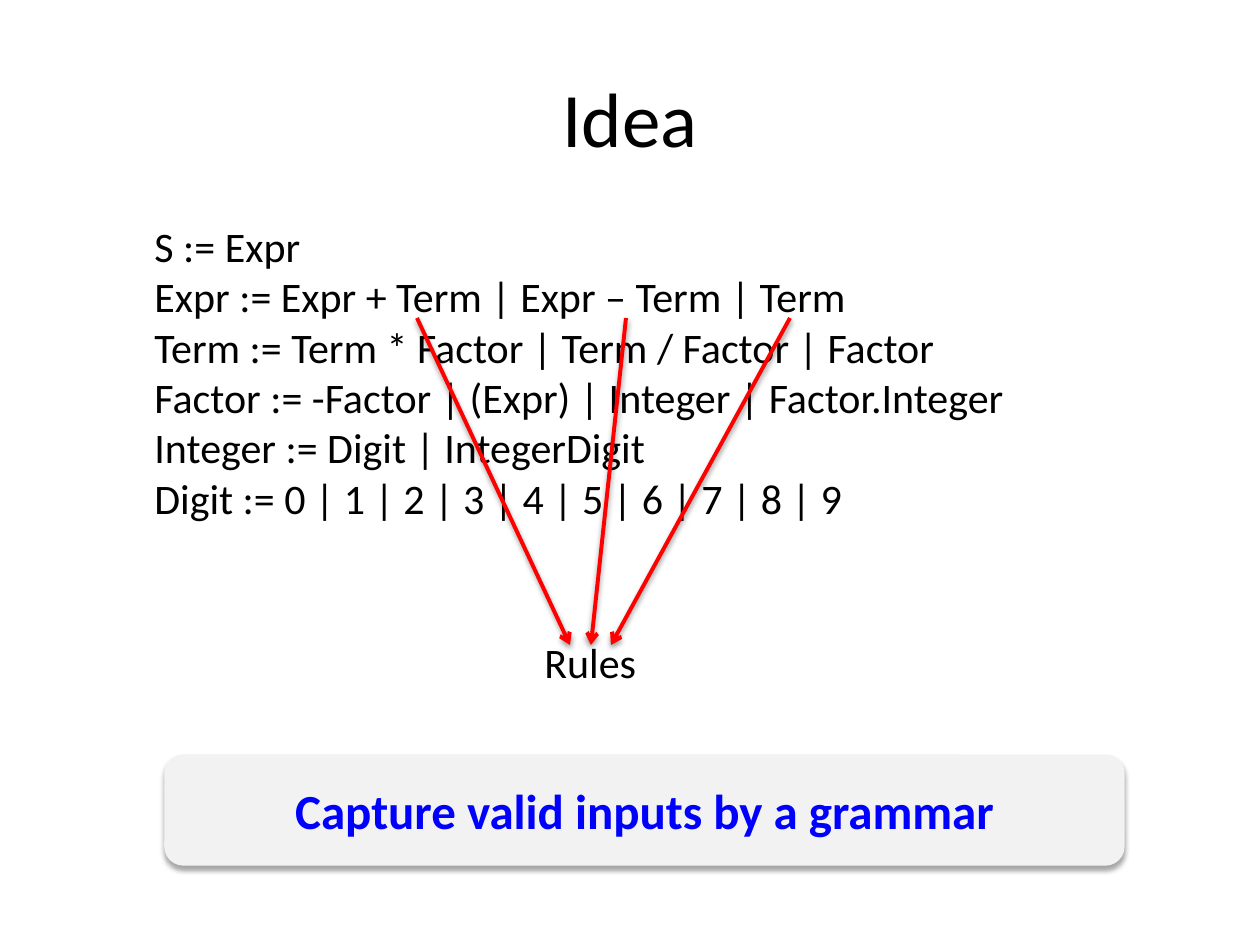
from dataclasses import dataclass

from lxml import etree
from pptx import Presentation
from pptx.dml.color import RGBColor
from pptx.enum.shapes import MSO_CONNECTOR, MSO_SHAPE
from pptx.enum.text import MSO_ANCHOR, PP_ALIGN
from pptx.oxml.ns import qn
from pptx.util import Emu, Pt

STRAIGHT = MSO_CONNECTOR.STRAIGHT
ROUNDED = MSO_SHAPE.ROUNDED_RECTANGLE
MIDDLE, TOP = MSO_ANCHOR.MIDDLE, MSO_ANCHOR.TOP
LEFT, CENTER = PP_ALIGN.LEFT, PP_ALIGN.CENTER
EMU_PER_PX = 914400 / 126


@dataclass(frozen=True)
class Theme:
    """Colours, font and type sizes of the slide."""
    font: str = "Calibri"
    ink: RGBColor = RGBColor(0, 0, 0)
    accent: RGBColor = RGBColor(0, 0, 255)
    arrow: RGBColor = RGBColor(255, 0, 0)
    panel: RGBColor = RGBColor(242, 242, 242)
    title_size: int = 44
    callout_size: int = 28
    body_size: int = 24


THEME = Theme()

GRAMMAR = [
    "S := Expr",
    "Expr := Expr + Term | Expr – Term | Term",
    "Term := Term * Factor | Term / Factor | Factor",
    "Factor := -Factor | (Expr) | Integer | Factor.Integer",
    "Integer := Digit | IntegerDigit",
    "Digit := 0 | 1 | 2 | 3 | 4 | 5 | 6 | 7 | 8 | 9",
]


def px(*lengths):
    """Turn pixel lengths into EMU."""
    return [Emu(round(length * EMU_PER_PX)) for length in lengths]


def write(shape, lines, size, color=THEME.ink, bold=False, align=LEFT, anchor=TOP, wrap=True):
    """Fill a shape with one paragraph per line in a single format."""
    frame = shape.text_frame
    frame.word_wrap = wrap
    frame.vertical_anchor = anchor
    font_format = {"name": THEME.font, "size": Pt(size), "bold": bold}
    for index, line in enumerate(lines):
        para = frame.add_paragraph() if index else frame.paragraphs[0]
        para.alignment = align
        span = para.add_run()
        span.text = line
        for name, value in font_format.items():
            setattr(span.font, name, value)
        span.font.color.rgb = color


def add_shadow(shape, distance, opacity):
    """Give a shape a soft shadow falling straight down."""
    properties = shape._element.spPr
    effects = etree.SubElement(properties, qn("a:effectLst"))
    shadow = etree.SubElement(effects, qn("a:outerShdw"), blurRad=str(Pt(3.1)),
                              dist=str(Pt(distance)), dir="5400000", rotWithShape="0")
    color = etree.SubElement(shadow, qn("a:srgbClr"), val="000000")
    etree.SubElement(color, qn("a:alpha"), val=str(opacity * 1000))


def add_text(page, box, lines, size, **text_format):
    """Place a text box."""
    write(page.shapes.add_textbox(*px(*box)), lines, size, **text_format)


def add_callout(page, box, text):
    """Place the shaded takeaway panel."""
    panel = page.shapes.add_shape(ROUNDED, *px(*box))
    panel.fill.solid()
    panel.fill.fore_color.rgb = THEME.panel
    panel.line.color.rgb = THEME.panel
    panel.line.width = Pt(0.75)
    add_shadow(panel, 1.8, 35)
    write(panel, [text], THEME.callout_size, color=THEME.accent, bold=True,
          align=CENTER, anchor=MIDDLE)


def add_rule_arrows(page, box):
    """Draw the arrows that lead from the alternatives to their label."""
    left, top, width, height = box
    for start, end in [(0, 153), (209, 174), (width, 194)]:
        arrow = page.shapes.add_connector(
            STRAIGHT, *px(left + start, top, left + end, top + height))
        arrow.line.color.rgb = THEME.arrow
        arrow.line.width = Pt(2.25)
        etree.SubElement(arrow.line._get_or_add_ln(), qn("a:tailEnd"), type="arrow")
        add_shadow(arrow, 1.6, 38)


def build_idea_page(page):
    """Lay out the grammar slide."""
    add_text(page, (63, 38, 1134, 158), ["Idea"], THEME.title_size,
             align=CENTER, anchor=MIDDLE)
    add_callout(page, (165, 755, 959, 110), "Capture valid inputs by a grammar")
    add_text(page, (142, 214, 999, 369), GRAMMAR, THEME.body_size)
    add_rule_arrows(page, (417, 318, 373, 327))
    add_text(page, (532, 630, 118, 63), ["Rules"], THEME.body_size, wrap=False)


def main():
    """Build and save the deck."""
    deck = Presentation()
    deck.slide_width, deck.slide_height = px(1260, 945)
    build_idea_page(deck.slides.add_slide(deck.slide_layouts[6]))
    deck.save("out.pptx")


if __name__ == "__main__":
    main()
